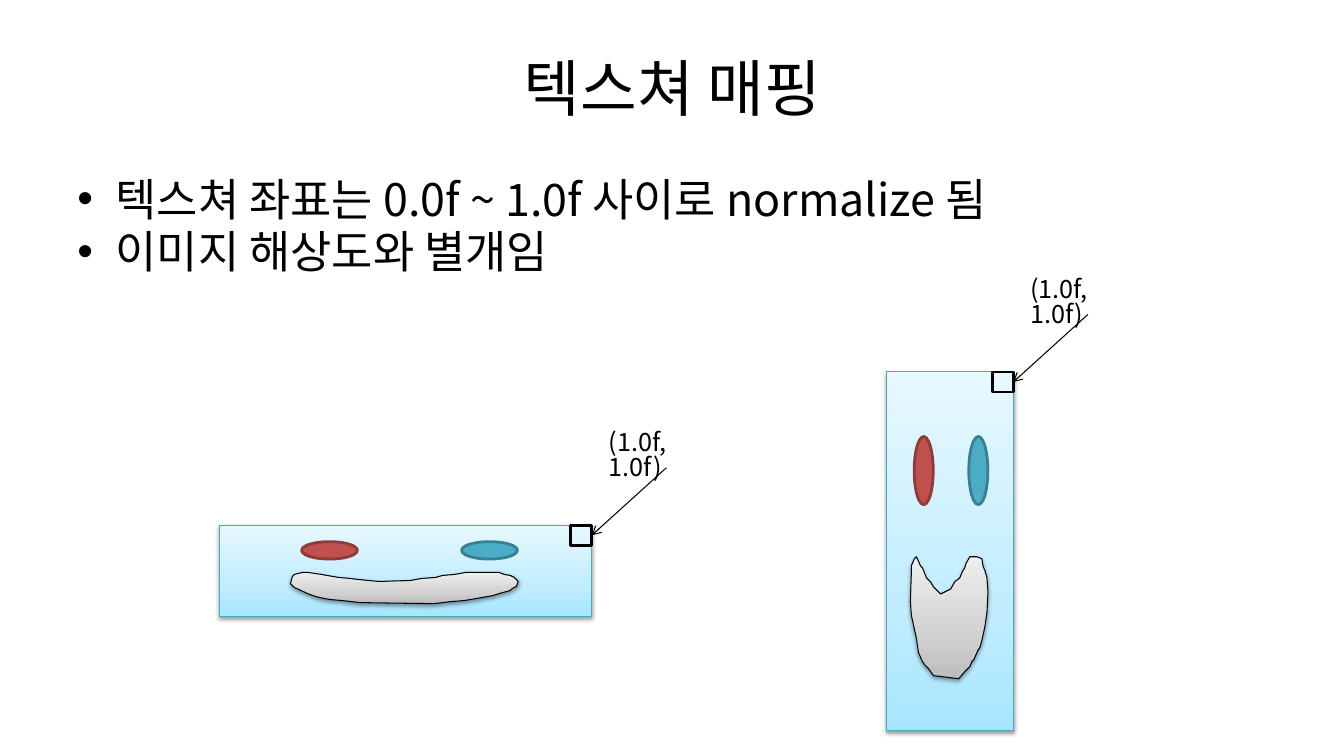
from lxml import etree
from pptx import Presentation
from pptx.dml.color import RGBColor
from pptx.enum.shapes import MSO_CONNECTOR, MSO_SHAPE as Preset
from pptx.enum.text import MSO_ANCHOR, PP_ALIGN
from pptx.oxml import parse_xml
from pptx.oxml.ns import nsdecls, qn
from pptx.util import Inches, Pt

TITLE = "텍스쳐 매핑"
BULLETS = ["텍스쳐 좌표는 0.0f ~ 1.0f 사이로 normalize 됨", "이미지 해상도와 별개임"]
CORNER = "(1.0f, 1.0f)"
FONT = "Noto Sans CJK KR"
BLACK = "000000"
SKY = [(0, "A7E6FF"), (35, "C1EDFF"), (100, "E7F8FF")]
GREY = [(0, "BDBDBD"), (35, "D1D1D1"), (100, "EEEEEE")]
EYES = [(0.22, "C0504D", "8E3B39"), (0.65, "4BACC6", "377F92")]
EYE_TOP, EYE_WIDTH, EYE_HEIGHT = 0.18, 0.15, 0.19
MOUTH_LEFT, MOUTH_TOP = 0.19, 0.515
MARKER_WIDTH, MARKER_HEIGHT = 0.21, 0.2

WIDE_MOUTH = [
    (17, 21), (4, 15), (0, 11), (2, 4), (4, 2), (12, 0), (17, 0), (31, 2), (36, 3),
    (48, 5), (59, 6), (67, 7), (88, 9), (119, 8), (130, 6), (144, 5), (151, 3),
    (163, 2), (174, 0), (207, 0), (212, 2), (218, 3), (222, 5), (226, 9), (224, 14),
    (220, 16), (218, 18), (207, 21), (201, 23), (195, 24), (184, 26), (172, 28),
    (159, 29), (142, 31), (69, 30), (52, 28), (40, 27), (34, 26), (25, 24)]
TALL_MOUTH = [
    (6, 81), (1, 58), (0, 44), (1, 16), (1, 9), (4, 2), (6, 0), (10, 9), (12, 11),
    (16, 21), (20, 25), (23, 30), (30, 37), (40, 32), (44, 25), (49, 21), (52, 14),
    (54, 11), (55, 7), (59, 0), (66, 0), (71, 2), (72, 9), (74, 14), (76, 21),
    (77, 35), (76, 55), (75, 62), (74, 69), (71, 83), (69, 90), (67, 93), (63, 102),
    (61, 104), (59, 109), (54, 114), (48, 121), (23, 118), (18, 111), (14, 107),
    (12, 104), (8, 95)]
FACES = [(2.18, 5.21, 3.69, 0.91, WIDE_MOUTH), (8.79, 3.69, 1.26, 3.56, TALL_MOUTH)]


def color(value):
    return RGBColor.from_string(value)


def outline(part, value, width):
    part.line.color.rgb = color(value)
    part.line.width = Pt(width)


def shade(part, stops):
    """Give a part a vertical gradient and a soft shadow below it."""
    marks = "".join(f'<a:gs pos="{at * 1000}"><a:srgbClr val="{value}"/></a:gs>'
                    for at, value in stops)
    part.fill.background()
    props = part._element.spPr
    props.replace(props.find(qn("a:noFill")), parse_xml(
        f'<a:gradFill {nsdecls("a")} rotWithShape="1"><a:gsLst>{marks}</a:gsLst>'
        '<a:lin ang="16200000" scaled="0"/></a:gradFill>'))
    part.shadow.inherit = False
    props.find(qn("a:effectLst")).append(parse_xml(
        f'<a:outerShdw {nsdecls("a")} blurRad="{Pt(3.1)}" dist="{Pt(1.6)}" dir="5400000" '
        'rotWithShape="0"><a:srgbClr val="000000"><a:alpha val="38000"/></a:srgbClr></a:outerShdw>'))


def add_preset(slide, preset, *box):
    part = slide.shapes.add_shape(preset, *map(Inches, box))
    part.shadow.inherit = False
    return part


def add_text(slide, box, lines, size):
    frame = slide.shapes.add_textbox(*map(Inches, box)).text_frame
    frame.word_wrap = True
    frame.text = "\n".join(lines)
    for paragraph in frame.paragraphs:
        paragraph.line_spacing = 0.81
        font = paragraph.runs[0].font
        font.name, font.size, font.color.rgb = FONT, Pt(size), color(BLACK)
        etree.SubElement(font._element, qn("a:ea")).set("typeface", FONT)
    return frame


def add_bullets(slide):
    for paragraph in add_text(slide, (0.67, 1.75, 12, 4.95), BULLETS, 32).paragraphs:
        paragraph.space_before = Pt(6.4)
        props = paragraph._p.get_or_add_pPr()
        props.set("marL", str(Inches(0.38)))
        props.set("indent", str(-Inches(0.38)))
        etree.SubElement(props, qn("a:buFont")).set("typeface", "Arial")
        etree.SubElement(props, qn("a:buChar")).set("char", "•")


def add_face(slide, left, top, width, height, mouth_points):
    head = add_preset(slide, Preset.RECTANGLE, left, top, width, height)
    shade(head, SKY)
    outline(head, "46AAC5", 0.75)
    for share, inside, edge in EYES:
        eye = add_preset(slide, Preset.OVAL, left + share * width, top + EYE_TOP * height,
                         EYE_WIDTH * width, EYE_HEIGHT * height)
        eye.fill.solid()
        eye.fill.fore_color.rgb = color(inside)
        outline(eye, edge, 2)
    builder = slide.shapes.build_freeform(*mouth_points[0], scale=Inches(0.01))
    builder.add_line_segments(mouth_points[1:], close=True)
    mouth = builder.convert_to_shape(Inches(left + MOUTH_LEFT * width),
                                     Inches(top + MOUTH_TOP * height))
    shade(mouth, GREY)
    outline(mouth, BLACK, 0.75)


def add_corner(slide, right, top):
    marker = add_preset(slide, Preset.RECTANGLE, right - MARKER_WIDTH, top,
                        MARKER_WIDTH, MARKER_HEIGHT)
    marker.fill.background()
    outline(marker, BLACK, 2)
    add_text(slide, (right + 0.07, top - 0.97, 1.33, 0.4), [CORNER], 18)
    tip = top + MARKER_HEIGHT / 2
    arrow = slide.shapes.add_connector(
        MSO_CONNECTOR.STRAIGHT, *map(Inches, (right + 0.74, tip - 0.67, right, tip)))
    outline(arrow, BLACK, 0.75)
    etree.SubElement(arrow.line._get_or_add_ln(), qn("a:tailEnd")).set("type", "arrow")
    etree.SubElement(arrow._element.spPr, qn("a:effectLst"))


def main():
    deck = Presentation()
    deck.slide_width, deck.slide_height = Inches(13.33), Inches(7.5)
    slide = deck.slides.add_slide(deck.slide_layouts[6])
    heading = add_text(slide, (0.67, 0.3, 12, 1.25), [TITLE], 44)
    heading.vertical_anchor = MSO_ANCHOR.MIDDLE
    heading.paragraphs[0].alignment = PP_ALIGN.CENTER
    add_bullets(slide)
    for face in FACES:
        add_face(slide, *face)
    for left, top, width, *_ in FACES:
        add_corner(slide, left + width, top)
    deck.save("out.pptx")


if __name__ == "__main__":
    main()
